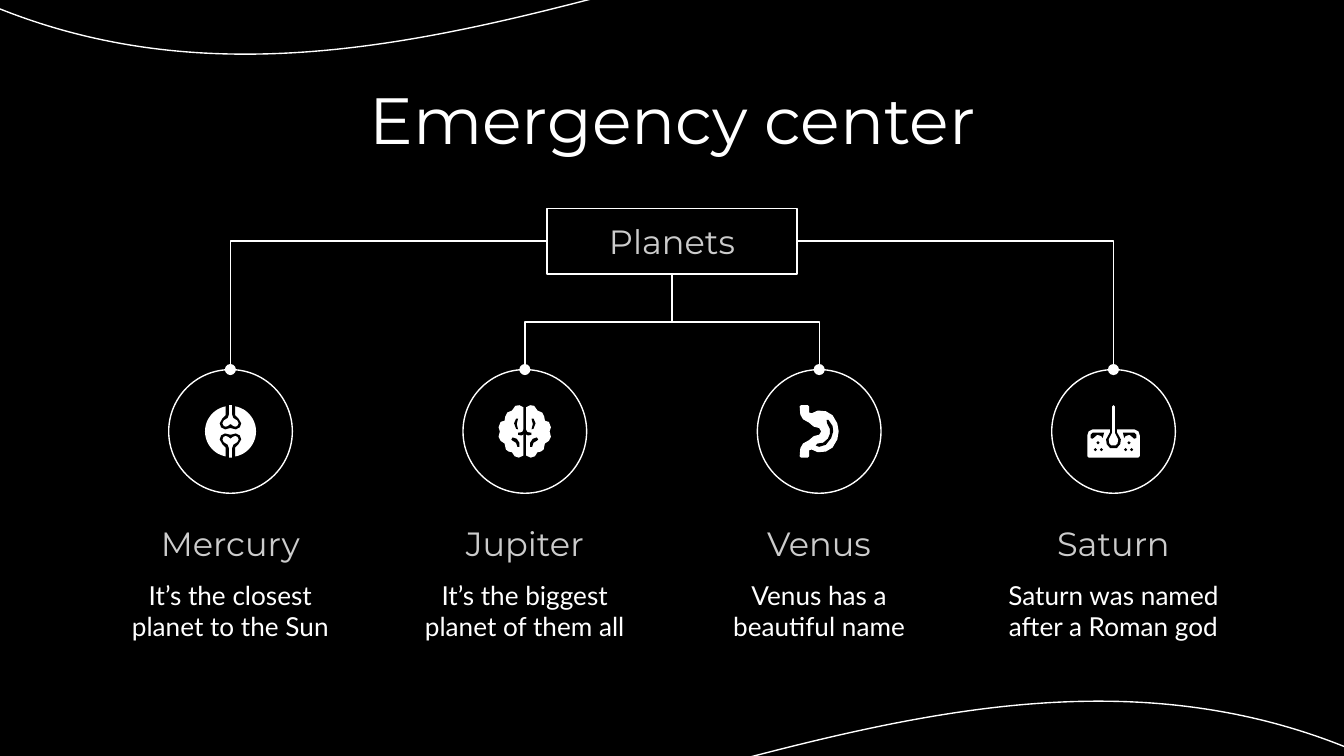
import pptx
import pptx.util
import pptx.dml.color
import pptx.enum.shapes
import pptx.enum.text
import pptx.oxml.ns
import lxml.etree

Inch = pptx.util.Inches
Kind = pptx.enum.shapes.MSO_SHAPE
Anchor = pptx.enum.text.MSO_ANCHOR
qn = pptx.oxml.ns.qn
hues = {"dark": "000000", "light": "FFFFFF", "soft": "CCCCCC"}
tones = {name: pptx.dml.color.RGBColor.from_string(hue) for name, hue in hues.items()}

deck = pptx.Presentation()
wide = 10
high = wide * 9 / 16
deck.slide_width, deck.slide_height = Inch(wide), Inch(high)
slide = deck.slides.add_slide(deck.slide_layouts[5])
slide.background.fill.solid()
slide.background.fill.fore_color.rgb = tones["dark"]
shapes = slide.shapes

# Grid: four columns around the middle of the slide
step, cell = 2.19, 1.86
mids = [wide / 2 + (col - 1.5) * step for col in range(4)]
ring_top, ring_size = 2.75, 0.92
box_top, box_high = 1.55, 0.49


def write(shape, text, size, font, tone, anchor=Anchor.TOP):
    frame = shape.text_frame
    frame.text = text
    frame.word_wrap = True
    frame.auto_size = pptx.enum.text.MSO_AUTO_SIZE.NONE
    frame.vertical_anchor = anchor
    frame.margin_left = frame.margin_right = Inch(0.1)
    frame.margin_top = frame.margin_bottom = Inch(0.1)
    line = frame.paragraphs[0]
    line.alignment = pptx.enum.text.PP_ALIGN.CENTER
    style = line.runs[0].font
    style.size, style.name = pptx.util.Pt(size), font
    style.color.rgb = tones[tone]


def trace(group, points, tone, x, y):
    """Draw a closed outline; points are hundredths of an inch from (x, y)."""
    fine = [(across * 10, down * 10) for across, down in points]
    pen = group.shapes.build_freeform(*fine[0], scale=914.4)
    pen.add_line_segments(fine[1:], close=True)
    part = pen.convert_to_shape(Inch(x), Inch(y))
    part.shadow.inherit = False
    part.fill.solid()
    part.fill.fore_color.rgb = tones[tone]
    part.line.fill.background()


# The wave shows only its upper and lower edges
wave = shapes.add_shape(Kind.WAVE, Inch(-0.5), Inch(-0.76), Inch(11), Inch(7.14))
wave.adjustments[0], wave.adjustments[1] = 0.083, 0
wave.rotation = 180
wave._element.spPr.xfrm.set("flipH", "1")

title = shapes.title
title.left, title.top = Inch(0.79), Inch(0.49)
title.width, title.height = Inch(8.43), Inch(0.63)
write(title, "Emergency center", 35, "Montserrat", "light")
title._element.addprevious(wave._element)

box = shapes.add_shape(Kind.RECTANGLE, Inch((wide - cell) / 2), Inch(box_top),
                       Inch(cell), Inch(box_high))
write(box, "Planets", 18, "Montserrat", "soft", Anchor.BOTTOM)

planets = [
    ("Mercury", "It’s the closest planet to the Sun"),
    ("Jupiter", "It’s the biggest planet of them all"),
    ("Venus", "Venus has a beautiful name"),
    ("Saturn", "Saturn was named after a Roman god"),
]
rings = []
for mid, (name, note) in zip(mids, planets):
    rings.append(shapes.add_shape(Kind.OVAL, Inch(mid - ring_size / 2), Inch(ring_top),
                                  Inch(ring_size), Inch(ring_size)))
    left = Inch(mid - cell / 2)
    body = shapes.add_textbox(left, Inch(4.21), Inch(cell), Inch(0.67))
    write(body, note, 14, "Lato", "light")
    head = shapes.add_textbox(left, Inch(3.81), Inch(cell), Inch(0.48))
    write(head, name, 18, "Montserrat", "soft", Anchor.BOTTOM)

for shape in [wave, box] + rings:
    shape.shadow.inherit = False
    shape.fill.solid()
    shape.fill.fore_color.rgb = tones["dark"]
    shape.line.color.rgb = tones["light"]
    shape.line.width = pptx.util.Pt(0.75)
box.fill.background()

# Icons: "x" and "y" join a half with its mirror, "pair" draws both sides apart
gap = [(0, -19.8), (3.5, -19.8), (3.5, -12), (6, -9.5), (8, -6), (7, -3), (4, -1.5), (0, -2.5)]
bone = [(0, -19.5), (1, -19.5), (1, -13), (2, -10), (5, -8), (6, -6), (5, -4), (3.5, -3.5),
        (2, -4), (0, -5.5)]
lobe = [(1, -18), (4, -19.5), (7, -19), (9.5, -15.5), (13, -14), (14.5, -11), (15, -8),
        (18, -7), (19.5, -3), (18.5, 0), (19.5, 4), (18, 7), (15, 9), (14, 13.5), (12, 15),
        (9.5, 15.5), (7.5, 18.5), (4.5, 19.5), (1, 18)]
folds = [
    [(5, -9.5), (6.5, -9.5), (8, -6), (6.5, -2), (5, -1.5), (6, -5.5)],
    [(9, 4.5), (10, 6), (9, 7), (6.5, 8.5), (5.5, 11.5), (4, 11.5), (4, 8.5), (6, 5.5)],
    [(0.5, -2), (2, 0.5), (5, 1), (5, 2.5), (2.5, 3), (0.5, 2)],
]
stomach = [(1.5, 0), (0, -2.5), (-4, -3.5), (-7.5, -6.5), (-12, -9), (-14, -12.5),
           (-14.5, -18.5), (-13.5, -19.5), (-8.5, -19.5), (-7.5, -18.5), (-7.5, -14),
           (-5.5, -13.5), (-1, -15.5), (5, -15), (10, -12), (13.5, -6), (14.5, 0)]
groove = [(5.5, -8.5), (7, -8.5), (10, -4), (10.5, 0), (9, 5), (5, 10), (0, 11.5),
          (-2.5, 10.5), (-1, 9), (3, 8.5), (6.5, 5.5), (8, 2), (8, -2), (6, -6)]
skin = [(0, -1.5), (15.5, -1.5), (18.5, 0), (19.5, 3), (19.5, 18.5), (18.5, 19.5), (0, 19.5)]
crest = [(7, 1), (15.5, 1), (17, 2.5), (17, 5), (15.5, 5.5), (12, 2.5), (9, 3.5), (8, 5)]
pore = [(0, -2), (2.5, -2), (2.5, 0.5), (5.5, 6), (5, 9.5), (2.5, 12.5), (0, 12.5)]
hair = [(0, -19.5), (1, -18.5), (1, 1), (3.5, 6), (3, 9), (1.5, 10.5), (0, 10.5)]
dots = [[(x - 1.2, y), (x, y - 1.2), (x + 1.2, y), (x, y + 1.2)]
        for x, y in [(11.5, 8.5), (9, 13.5), (13.5, 13.5)]]
icons = [
    [("x", tone, [(x, y * turn) for x, y in half])
     for tone, half in [("dark", gap), ("light", bone)] for turn in (1, -1)],
    [("pair", "light", lobe)] + [("pair", "dark", fold) for fold in folds],
    [("y", "light", stomach), ("one", "dark", groove)],
    [("x", "light", skin), ("pair", "dark", crest), ("x", "dark", pore),
     ("x", "light", hair)] + [("pair", "dark", dot) for dot in dots],
]
mid_y = ring_top + ring_size / 2
for col, (mid, parts) in enumerate(zip(mids, icons)):
    group = shapes.add_group_shape()
    if col == 0:
        disc = group.shapes.add_shape(Kind.OVAL, Inch(mid - 0.19), Inch(mid_y - 0.19),
                                      Inch(0.38), Inch(0.38))
        disc.shadow.inherit = False
        disc.fill.solid()
        disc.fill.fore_color.rgb = tones["light"]
        disc.line.fill.background()
    for mode, tone, half in parts:
        twin = [(x, -y) if mode == "y" else (-x, y) for x, y in half]
        if mode in ("x", "y"):
            trace(group, half + twin[::-1], tone, mid, mid_y)
        else:
            trace(group, half, tone, mid, mid_y)
            if mode == "pair":
                trace(group, twin, tone, mid, mid_y)

# Branches: outer ones leave the box sideways, inner ones leave it downwards
for col, side in enumerate([1, 2, 2, 3]):
    link = shapes.add_connector(pptx.enum.shapes.MSO_CONNECTOR.ELBOW, 0, 0, 0, 0)
    link.begin_connect(box, side)
    link.end_connect(rings[col], 0)
    link.line.color.rgb = tones["light"]
    link.line.width = pptx.util.Pt(0.75)
    props = link._element.spPr
    lxml.etree.SubElement(link.line._get_or_add_ln(), qn("a:tailEnd"), type="oval")
    lxml.etree.SubElement(props, qn("a:effectLst"))
    start, end = Inch(wide / 2 + (side - 2) * cell / 2), Inch(mids[col])
    top = Inch(box_top + box_high * (1 if side == 2 else 0.5))
    span, drop = abs(end - start), Inch(ring_top) - top
    form = props.xfrm
    form.attrib.clear()
    if side == 2:
        link.left, link.top = (start + end - drop) // 2, top + (drop - span) // 2
        link.width, link.height = drop, span
        form.set("rot", str((90 if end < start else 270) * 60000))
    else:
        link.left, link.top, link.width, link.height = min(start, end), top, span, drop
        props.find(qn("a:prstGeom")).set("prst", "bentConnector2")
    if col in (0, 2):
        form.set("flipH", "1")

deck.save("out.pptx")
